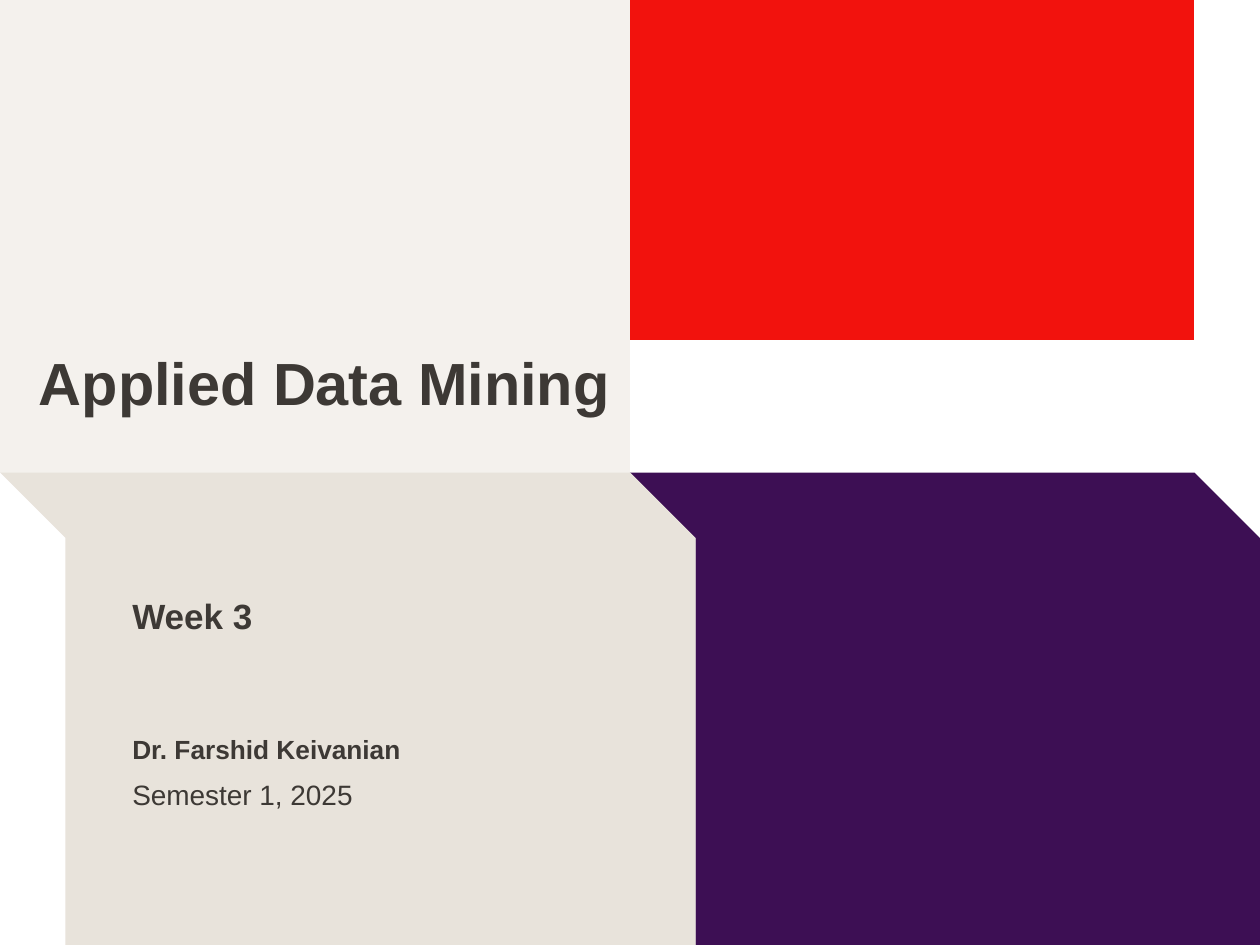
from pptx import Presentation
from pptx.dml.color import RGBColor
from pptx.util import Inches, Pt

RED = RGBColor(0xF2, 0x12, 0x0D)
PURPLE = RGBColor(0x3D, 0x0F, 0x54)
IVORY = RGBColor(0xF4, 0xF1, 0xED)
SAND = RGBColor(0xE8, 0xE3, 0xDB)
INK = RGBColor(0x3D, 0x39, 0x35)

deck = Presentation()
deck.slide_width, deck.slide_height = Inches(10), Inches(7.5)
page = deck.slides.add_slide(deck.slide_layouts[6])

# Grid: two halves each way, with a diagonal step
WIDTH, HEIGHT = 10, 7.5
MIDDLE, FOLD = WIDTH / 2, HEIGHT / 2
STEP = 0.52
INDENT = 2 * STEP


def add_panel(points, color):
    corners = [(Inches(x), Inches(y)) for x, y in points]
    builder = page.shapes.build_freeform(*corners[0])
    builder.add_line_segments(corners[1:], close=True)
    panel = builder.convert_to_shape()
    panel.shadow.inherit = False
    panel.fill.solid()
    panel.fill.fore_color.rgb = color
    panel.line.fill.background()


def add_text(lines, left, top, width, height, inset=0.03, gap=0):
    box = page.shapes.add_textbox(*map(Inches, (left, top, width, height)))
    frame = box.text_frame
    frame.word_wrap = True
    frame.margin_left = frame.margin_right = frame.margin_bottom = 0
    frame.margin_top = Inches(inset)
    for index, (text, size, bold) in enumerate(lines):
        para = frame.add_paragraph() if index else frame.paragraphs[0]
        if index:
            para.space_before = Pt(gap)
        span = para.add_run()
        span.text = text
        span.font.name = "Arial"
        span.font.size = Pt(size)
        span.font.bold = bold
        span.font.color.rgb = INK


# Upper panels
for left, right, bottom, color in [
    (MIDDLE, WIDTH - STEP, 2.7, RED),
    (0, MIDDLE, FOLD, IVORY),
]:
    add_panel([(left, 0), (right, 0), (right, bottom), (left, bottom)], color)

# Lower panels, each shifted right by the step
for left, right, color in [
    (MIDDLE, WIDTH - STEP, PURPLE),
    (0, MIDDLE, SAND),
]:
    add_panel([
        (left, FOLD), (right, FOLD),
        (right + STEP, FOLD + STEP), (right + STEP, HEIGHT),
        (left + STEP, HEIGHT), (left + STEP, FOLD + STEP),
    ], color)

# Title, week and lecturer
add_text([("Applied Data Mining", 34, True)], 0.31, 2.72, 4.6, 0.59)
add_text([("Week 3", 20, True)], INDENT + 0.01, 4.69, 1.2, 0.36)
add_text(
    [("Dr. Farshid Keivanian", 15, True), ("Semester 1, 2025", 16, False)],
    INDENT + 0.01, 5.7, 2.46, 0.73, inset=0.12, gap=7.2,
)

deck.save("out.pptx")
